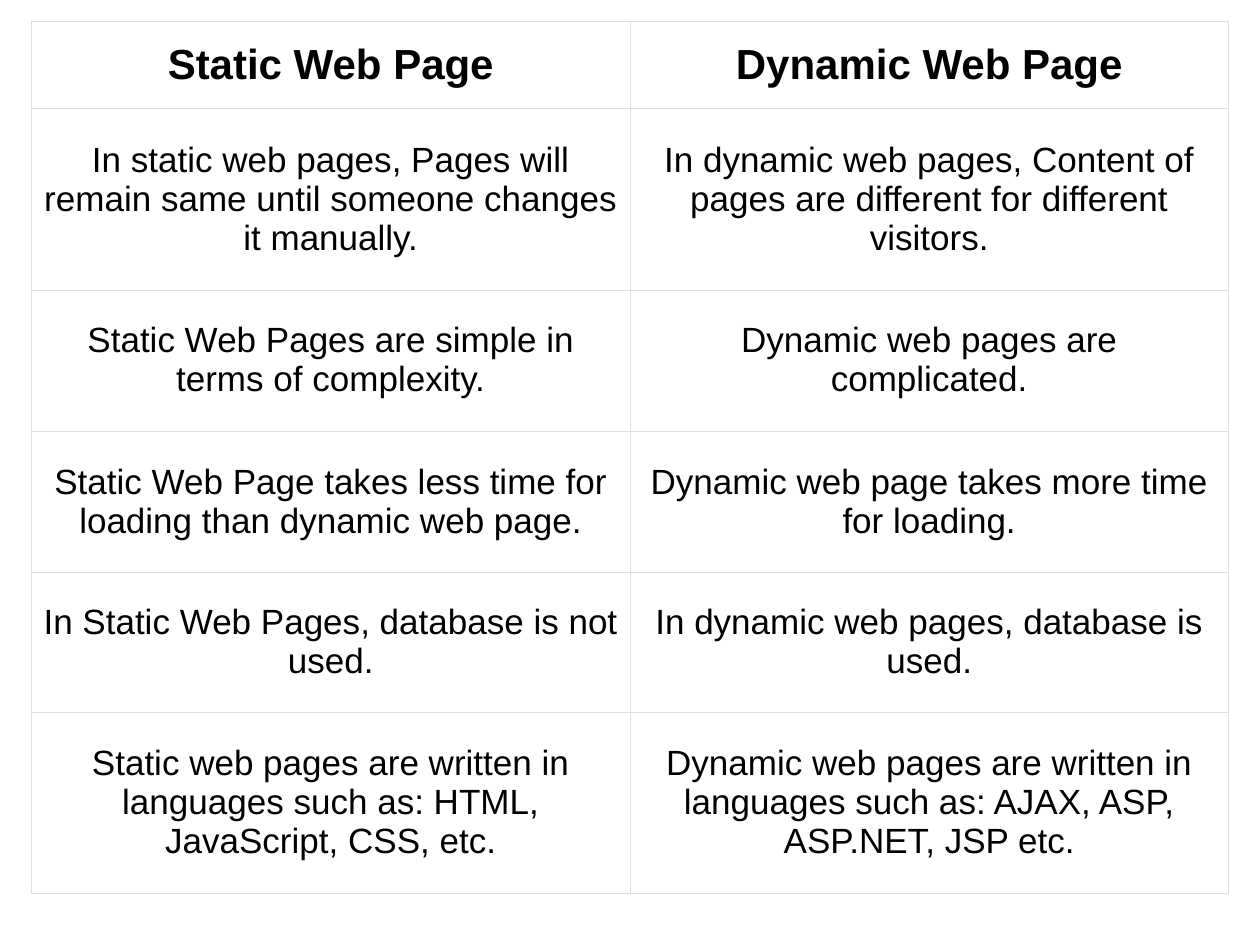
from dataclasses import dataclass

import pptx
import pptx.dml.color
import pptx.enum.text
import pptx.oxml
import pptx.oxml.ns
import pptx.table
import pptx.util
from pptx.util import Inches

BLACK = pptx.dml.color.RGBColor(0x00, 0x00, 0x00)
WHITE = pptx.dml.color.RGBColor(0xFF, 0xFF, 0xFF)
GRID = pptx.dml.color.RGBColor(0xDF, 0xDF, 0xDF)
FONT = "Arial"
GRID_WIDTH = pptx.util.Pt(0.23)
COLUMN_WIDTH = 4.75


@dataclass(frozen=True)
class Row:
    height: float
    static: str
    dynamic: str


HEADER = Row(0.69, "Static Web Page", "Dynamic Web Page")
BODY = [
    Row(1.44,
        "In static web pages, Pages will remain same until someone changes it manually.",
        "In dynamic web pages, Content of pages are different for different visitors."),
    Row(1.12,
        "Static Web Pages are simple in terms of complexity.",
        "Dynamic web pages are complicated."),
    Row(1.12,
        "Static Web Page takes less time for loading than dynamic web page.",
        "Dynamic web page takes more time for loading."),
    Row(1.11,
        "In Static Web Pages, database is not used.",
        "In dynamic web pages, database is used."),
    Row(1.44,
        "Static web pages are written in languages such as: HTML, JavaScript, CSS, etc.",
        "Dynamic web pages are written in languages such as: AJAX, ASP, ASP.NET, JSP etc."),
]


def set_borders(cell: pptx.table._Cell) -> None:
    """Draw a thin grid line on all four sides; borders must precede the fill."""
    tc_pr = cell._tc.get_or_add_tcPr()
    for i, side in enumerate(("lnL", "lnR", "lnT", "lnB")):
        tc_pr.insert(i, pptx.oxml.parse_xml(
            f'<a:{side} {pptx.oxml.ns.nsdecls("a")} w="{int(GRID_WIDTH)}">'
            f'<a:solidFill><a:srgbClr val="{GRID}"/></a:solidFill></a:{side}>'))


def write_text(cell: pptx.table._Cell, text: str, *, size: float, bold: bool) -> None:
    p = cell.text_frame.paragraphs[0]
    p.alignment = pptx.enum.text.PP_ALIGN.CENTER
    r = p.add_run()
    r.text = text
    r.font.name = FONT
    r.font.size = pptx.util.Pt(size)
    r.font.bold = bold
    r.font.color.rgb = BLACK


def fill_cell(cell: pptx.table._Cell, text: str, *, header: bool) -> None:
    cell.fill.solid()
    cell.fill.fore_color.rgb = WHITE
    cell.vertical_anchor = pptx.enum.text.MSO_ANCHOR.MIDDLE
    cell.margin_left = cell.margin_right = Inches(0.07)
    cell.margin_top = cell.margin_bottom = Inches(0.07 if header else 0.1)
    set_borders(cell)
    write_text(cell, text, size=24 if header else 20, bold=header)


def main() -> None:
    prs = pptx.Presentation()
    prs.slide_width, prs.slide_height = Inches(10), Inches(7.5)
    s = prs.slides.add_slide(prs.slide_layouts[6])

    rows = [HEADER, *BODY]
    height = sum(row.height for row in rows)
    table = s.shapes.add_table(len(rows), 2, Inches(0.25), Inches(0.17),
                               Inches(2 * COLUMN_WIDTH), Inches(height)).table
    table.horz_banding = False
    for i, row in enumerate(rows):
        table.rows[i].height = Inches(row.height)
        for j, text in enumerate((row.static, row.dynamic)):
            fill_cell(table.cell(i, j), text, header=row is HEADER)
    prs.save("out.pptx")


if __name__ == "__main__":
    main()
